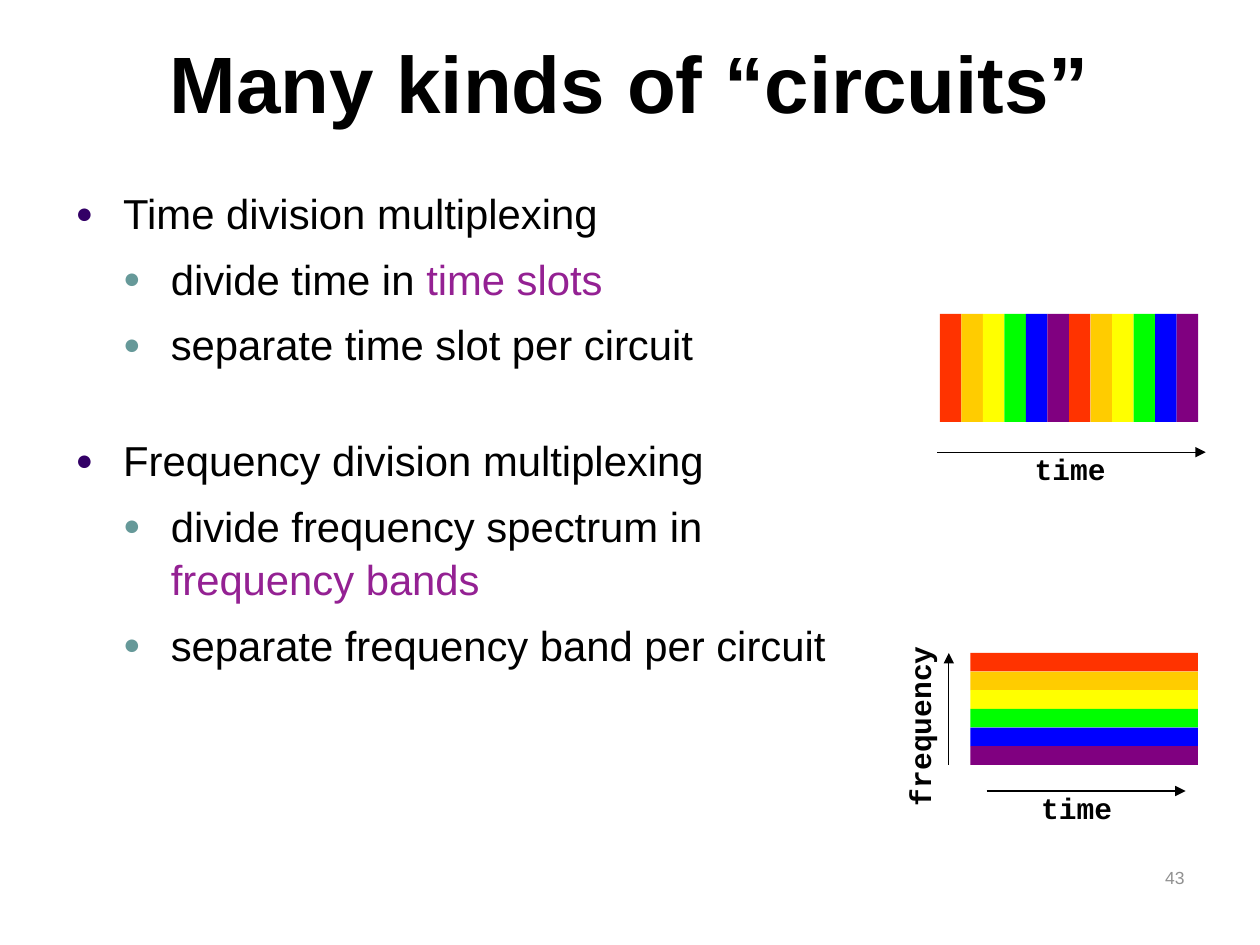
from lxml import etree
from pptx import Presentation
from pptx.dml.color import RGBColor
from pptx.enum.shapes import MSO_CONNECTOR, MSO_SHAPE
from pptx.enum.text import MSO_ANCHOR, MSO_AUTO_SIZE, PP_ALIGN
from pptx.oxml.ns import qn
from pptx.util import Pt

STRAIGHT = MSO_CONNECTOR.STRAIGHT
RECT = MSO_SHAPE.RECTANGLE
TOP, BOTTOM = MSO_ANCHOR.TOP, MSO_ANCHOR.BOTTOM
CENTER, RIGHT, LEFT = PP_ALIGN.CENTER, PP_ALIGN.RIGHT, PP_ALIGN.LEFT
NO_FIT = MSO_AUTO_SIZE.NONE

COLORS = {
    "text": "000000", "accent": "942193", "number": "919191",
    "bullet0": "330066", "bullet1": "669999",
    "red": "FF3300", "orange": "FFCC00", "yellow": "FFFF00",
    "green": "00FF00", "blue": "0000FF", "purple": "800080",
}
RAINBOW = ["red", "orange", "yellow", "green", "blue", "purple"]
BULLETS = [
    (0, 0, [("Time division multiplexing", "text")]),
    (1, 7, [("divide time in ", "text"), ("time slots", "accent")]),
    (1, 7, [("separate time slot per circuit", "text")]),
    (0, 36, [("Frequency division multiplexing", "text")]),
    (1, 7, [("divide frequency spectrum in ", "text"), None, ("frequency bands", "accent")]),
    (1, 7, [("separate frequency band per circuit", "text")]),
]


class Deck:
    sans = "Arial"
    mono = "Courier New"

    def __init__(self, prs):
        self.prs = prs
        self.s = prs.slides.add_slide(prs.slide_layouts[1])

    def color(self, name):
        return RGBColor.from_string(COLORS[name])

    def place(self, sp, x, y, w, h):
        sp.left, sp.top, sp.width, sp.height = Pt(x), Pt(y), Pt(w), Pt(h)

    def run(self, p, text, size, color="text", font=None, bold=False):
        r = p.add_run()
        r.text = text
        r.font.name = font or self.sans
        r.font.size = Pt(size)
        r.font.bold = bold
        r.font.color.rgb = self.color(color)

    def title(self, text, x, y, w, h):
        sp = self.s.shapes.title
        self.place(sp, x, y, w, h)
        tf = sp.text_frame
        tf.auto_size = NO_FIT
        tf.vertical_anchor = BOTTOM
        p = tf.paragraphs[0]
        p.alignment = CENTER
        self.run(p, text, 45.7, bold=True)

    def bullet(self, p, level):
        pPr = p._p.get_or_add_pPr()
        pPr.set("marL", str(Pt(27.2 * (level + 1))))
        pPr.set("indent", str(-Pt(27.2)))
        clr = etree.SubElement(pPr, qn("a:buClr"))
        etree.SubElement(clr, qn("a:srgbClr"), val=COLORS[f"bullet{level}"])
        etree.SubElement(pPr, qn("a:buSzPct"), val="70000")
        etree.SubElement(pPr, qn("a:buFont"), typeface=self.sans)
        etree.SubElement(pPr, qn("a:buChar"), char="●")

    def body(self, items, x, y, w, h):
        sp = self.s.placeholders[1]
        self.place(sp, x, y, w, h)
        tf = sp.text_frame
        tf.auto_size = NO_FIT
        tf.vertical_anchor = TOP
        for i, (level, before, runs) in enumerate(items):
            p = tf.add_paragraph() if i else tf.paragraphs[0]
            p.level = level
            self.bullet(p, level)
            p.alignment = LEFT
            p.space_before = Pt(before)
            p.line_spacing = 1.06
            for part in runs:
                if part is None:
                    p.add_line_break()
                else:
                    self.run(p, part[0], 23.9, part[1])

    def textbox(self, x, y, w, h, align, wrap):
        sp = self.s.shapes.add_textbox(Pt(x), Pt(y), Pt(w), Pt(h))
        tf = sp.text_frame
        tf.word_wrap = wrap
        p = tf.paragraphs[0]
        p.alignment = align
        return sp, p

    def label(self, text, x, y, w, rotation=0):
        sp, p = self.textbox(x, y, w, 28, CENTER, False)
        sp.rotation = rotation
        self.run(p, text, 16.9, font=self.mono, bold=True)

    def number(self, text, x, y, w, h):
        sp, p = self.textbox(x, y, w, h, RIGHT, True)
        self.run(p, text, 10, "number")

    def bar(self, color, x, y, w, h):
        sp = self.s.shapes.add_shape(RECT, Pt(x), Pt(y), Pt(w), Pt(h))
        sp.shadow.inherit = False
        sp.fill.solid()
        sp.fill.fore_color.rgb = self.color(color)
        sp.line.fill.background()

    def arrow(self, x1, y1, x2, y2):
        c = self.s.shapes.add_connector(STRAIGHT, Pt(x1), Pt(y1), Pt(x2), Pt(y2))
        c.line.width = Pt(0.75)
        c.line.color.rgb = self.color("text")
        etree.SubElement(c.line._get_or_add_ln(), qn("a:tailEnd"), type="triangle")
        etree.SubElement(c._element.spPr, qn("a:effectLst"))


def main():
    prs = Presentation()
    prs.slide_width, prs.slide_height = Pt(720), Pt(540)
    deck = Deck(prs)
    deck.title("Many kinds of “circuits”", 0, 9.4, 720, 68.4)
    deck.body(BULLETS, 36, 102.2, 648, 380.9)
    deck.number("43", 516.2, 491.8, 167.8, 36)

    slot = 12.3
    for i, color in enumerate(RAINBOW * 2):
        deck.bar(color, 537.1 + i * slot, 179.4, slot, 61.7)
    deck.arrow(535.5, 258.4, 689, 258.4)
    deck.label("time", 583.9, 254.2, 55.4)

    band = 10.67
    for i, color in enumerate(RAINBOW):
        deck.bar(color, 554.6, 373.1 + i * band, 130, band)
    deck.arrow(542.2, 437.1, 542.2, 373.1)
    deck.label("frequency", 472.3, 401, 106.6, 270)
    deck.arrow(563.8, 452, 677.5, 452)
    deck.label("time", 587.5, 447.8, 55.4)
    prs.save("out.pptx")


if __name__ == "__main__":
    main()
